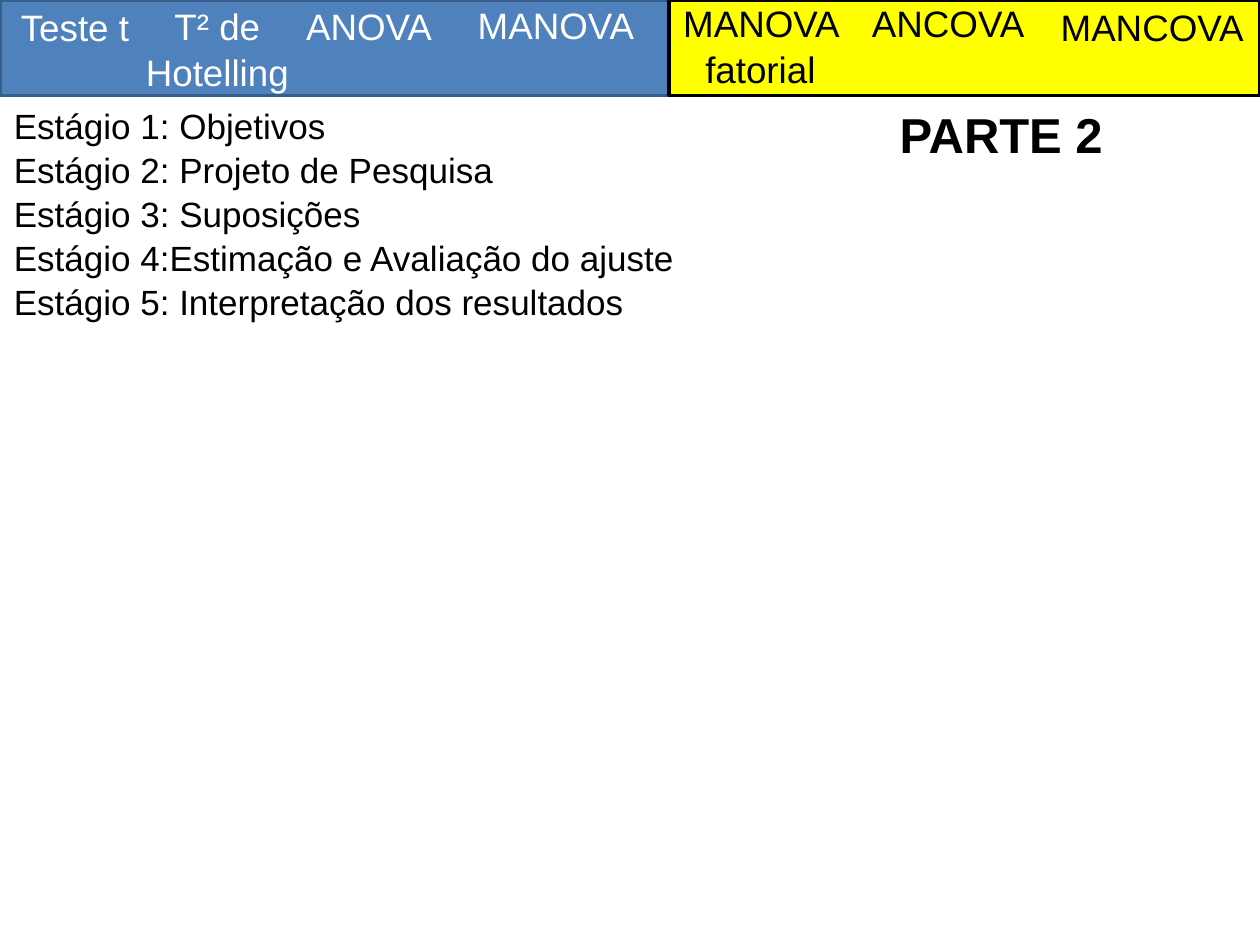
from pptx import Presentation
from pptx import util as u
from pptx.dml import color as c
from pptx.enum import shapes, text
from pptx.oxml import xmlchemy as xc

BLUE, NAVY, GOLD, BLACK, WHITE = "4F81BD", "385D8A", "FFFF00", "000000", "FFFFFF"
LEFT, MID = text.PP_ALIGN.LEFT, text.PP_ALIGN.CENTER


def hue(code):
    return c.RGBColor.from_string(code)


class Deck:
    """Holds the text style and the current slide."""
    font = "Arial"
    lead = 1.05

    def __init__(self, wide, high):
        self.prs = Presentation()
        self.prs.slide_width, self.prs.slide_height = u.Pt(wide), u.Pt(high)
        self.slide = self.prs.slides.add_slide(self.prs.slide_layouts[1])

    def band(self, left, wide, high, fill, edge):
        box = self.slide.shapes.add_shape(
            shapes.MSO_SHAPE.RECTANGLE, u.Pt(left), u.Pt(0), u.Pt(wide), u.Pt(high))
        box.shadow.inherit = False
        box.fill.solid()
        box.fill.fore_color.rgb = hue(fill)
        box.line.color.rgb = hue(edge)
        box.line.width = u.Pt(2)

    def letter(self, box, lines, size, tone, align, wrap=False, bold=False):
        frame = box.text_frame
        frame.word_wrap = wrap
        frame.auto_size = text.MSO_AUTO_SIZE.SHAPE_TO_FIT_TEXT
        frame.vertical_anchor = text.MSO_ANCHOR.TOP
        for i, line in enumerate(lines):
            para = frame.add_paragraph() if i else frame.paragraphs[0]
            para.alignment = align
            para.line_spacing = self.lead
            para.space_before = u.Pt(0)
            run = para.add_run()
            run.text = line
            run.font.name, run.font.size = self.font, u.Pt(size)
            run.font.bold = bold
            run.font.color.rgb = hue(tone)
        return frame

    def label(self, words, left, top, wide, high, tone, wrap):
        box = self.slide.shapes.add_textbox(*map(u.Pt, (left, top, wide, high)))
        self.letter(box, [words], 21, tone, MID, wrap)

    def place(self, box, left, top, wide, high):
        box.left, box.top = u.Pt(left), u.Pt(top)
        box.width, box.height = u.Pt(wide), u.Pt(high)
        return box

    def title(self, words, *spot):
        box = self.place(self.slide.shapes.title, *spot)
        self.letter(box, [words], 28, BLACK, LEFT, bold=True)

    def body(self, lines, *spot):
        box = self.place(self.slide.placeholders[1], *spot)
        frame = self.letter(box, lines, 20, BLACK, LEFT)
        # Plain lines: no bullet, no indent
        for para in frame.paragraphs:
            props = para._p.get_or_add_pPr()
            props.set("marL", "0")
            props.set("indent", "0")
            props.append(xc.OxmlElement("a:buNone"))


def main():
    deck = Deck(720, 540)

    # Header bands
    deck.band(0, 720, 54.7, BLUE, NAVY)
    deck.band(382.3, 337.7, 54.7, GOLD, BLACK)

    # Header labels: words, left, top, width, height, colour, wrap
    for row in (
        ("Teste t", 3.6, -2.2, 78.5, 32.4, WHITE, False),
        ("T² de Hotelling", 53.3, -2.9, 141.8, 57.6, WHITE, True),
        ("ANOVA", 167, -2.9, 87.8, 32.4, WHITE, False),
        ("MANOVA", 262.3, -3.2, 110.9, 32.4, WHITE, False),
        ("MANOVA fatorial", 360.7, -4.3, 147.6, 57.6, BLACK, True),
        ("ANCOVA", 490.3, -4.3, 103, 32.4, BLACK, False),
        ("MANCOVA", 598.3, -2.2, 120.2, 32.4, BLACK, False),
    ):
        deck.label(*row)

    # Part name and list of stages
    deck.title("PARTE 2", 506.9, 54.7, 132.5, 41)
    deck.body((
        "Estágio 1: Objetivos",
        "Estágio 2: Projeto de Pesquisa",
        "Estágio 3: Suposições",
        "Estágio 4:Estimação e Avaliação do ajuste",
        "Estágio 5: Interpretação dos resultados",
    ), 0.7, 54.7, 393.1, 127.4)

    deck.prs.save("out.pptx")


if __name__ == "__main__":
    main()
